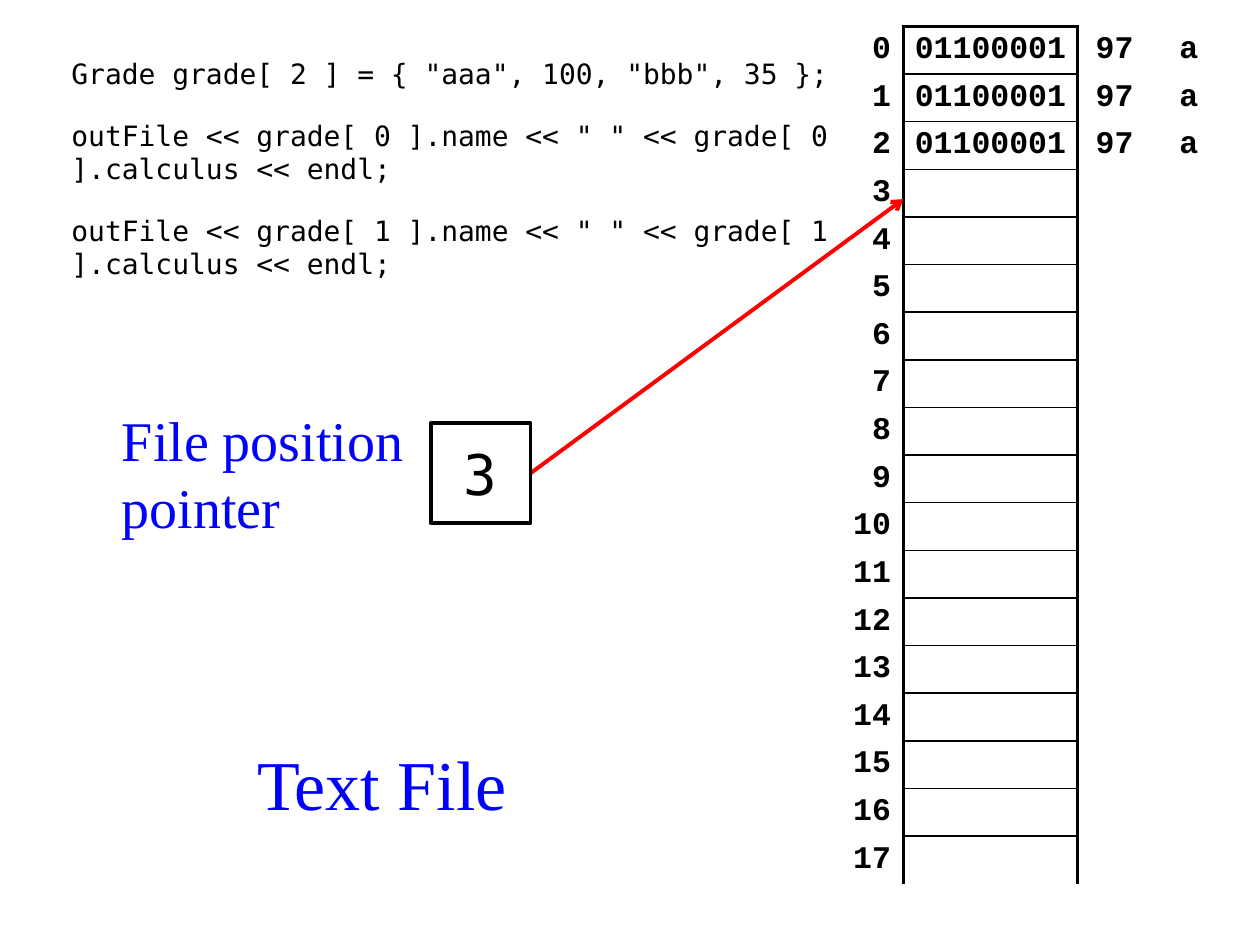
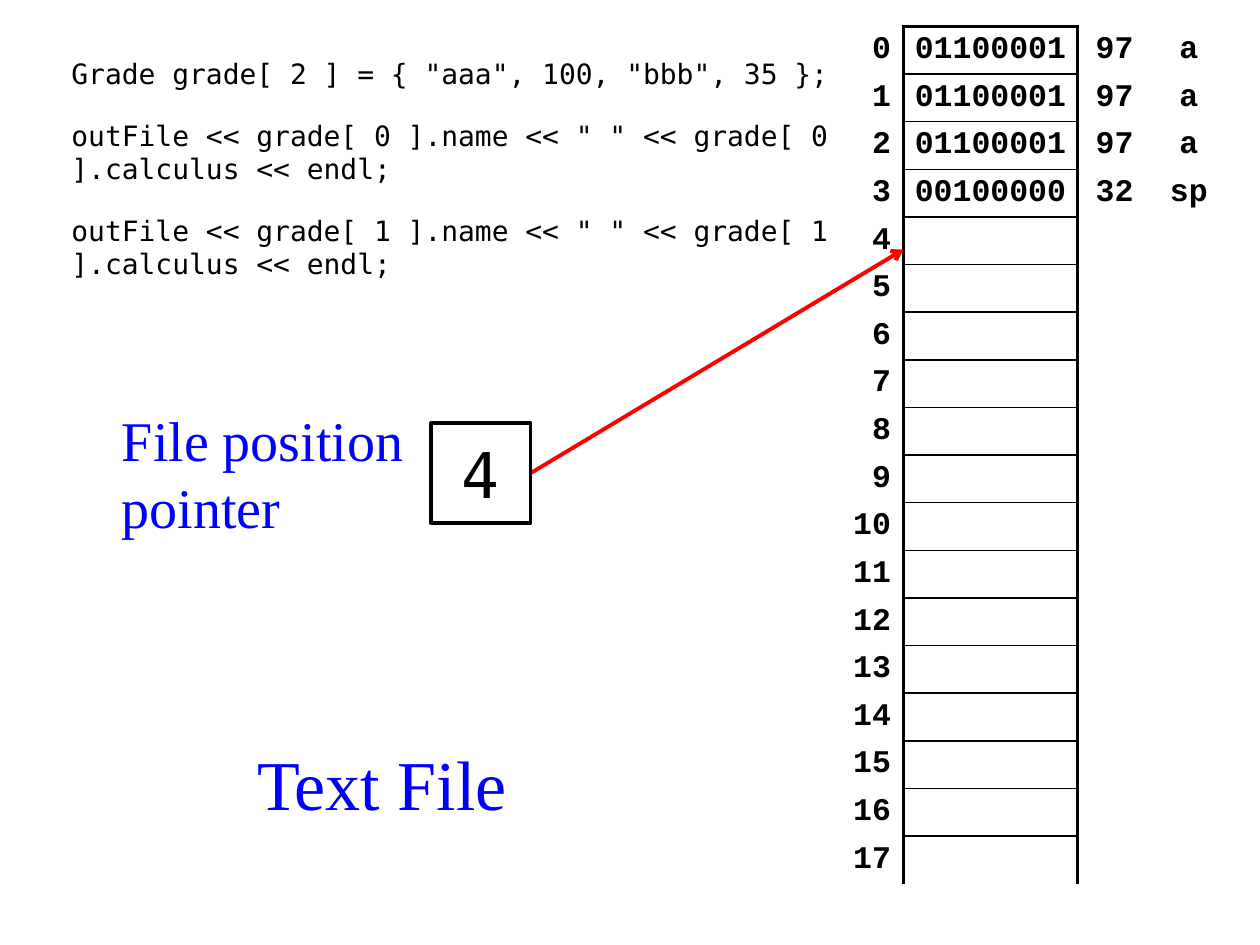
from pptx import Presentation
from pptx.dml.color import RGBColor
from pptx.enum.shapes import MSO_CONNECTOR, MSO_SHAPE
from pptx.enum.text import MSO_ANCHOR, PP_ALIGN
from pptx.oxml.ns import qn
from pptx.util import Pt
from lxml.etree import SubElement

BLACK, BLUE, RED = "000000", "0000FF", "FF0000"
SERIF, CODE_FONT, CELL_FONT = "Times New Roman", "DejaVu Sans Mono", "Courier New"
NO_STYLE = "{2D5ABB26-0587-4C30-8999-92F81FD0307C}"
THICK, THIN = 2.25, 1

TITLE = ["Text File"]
LABEL = ["File position", "pointer"]
CODE = ["Grade grade[ 2 ] = { \"aaa\", 100, \"bbb\", 35 };"] + [
    f"outFile << grade[ {i} ].name << \" \" << grade[ {i} ].calculus << endl;"
    for i in range(2)]
BYTES = [(97, "a"), (97, "a"), (97, "a"), (32, "sp")]
STEPS = [{"pointer": 3, "size": 32}, {"pointer": 4, "size": 36}]

ROWS, ROW_H = 18, 27.24
COLS = [42.5, 99.3, 42.5, 42.5]
TABLE_X, TABLE_Y = 473.8, 15.1
BOX_X, BOX_Y, BOX_SIZE = 246.2, 241.9, 57
TIP_Y, TIP_STEP = 27.36, 28.8


def color(value):
    return RGBColor.from_string(value)


def write(tf, lines, size, font, ink, align=PP_ALIGN.LEFT, bold=False, before=0):
    tf.text = "\n".join(lines)
    for p in tf.paragraphs:
        p.alignment = align
        p.space_before = Pt(before)
        for r in p.runs:
            r.font.size, r.font.name, r.font.bold = Pt(size), font, bold
            r.font.color.rgb = color(ink)


def add_text(s, box, lines, size, font, ink, anchor=MSO_ANCHOR.MIDDLE, wrap=True, **style):
    tf = s.shapes.add_textbox(*map(Pt, box)).text_frame
    tf.word_wrap = wrap
    tf.vertical_anchor = anchor
    write(tf, lines, size, font, ink, **style)


def set_borders(cell, widths):
    tc_pr = cell._tc.get_or_add_tcPr()
    for side in "LRTB":
        width = widths.get(side, 0)
        ln = SubElement(tc_pr, qn(f"a:ln{side}"), w=str(Pt(width)))
        if width:
            fill = SubElement(ln, qn("a:solidFill"))
            SubElement(fill, qn("a:srgbClr"), val=BLACK)
        else:
            SubElement(ln, qn("a:noFill"))


def borders_for(row, col):
    if col == 1:
        widths = {"L": THICK, "R": THICK, "T": THIN if row else THICK}
        if row < ROWS - 1:
            widths["B"] = THIN
        return widths
    return {0: {"R": THICK}, 2: {"L": THICK}}.get(col, {})


def add_memory(s, count):
    frame = s.shapes.add_table(ROWS, len(COLS), Pt(TABLE_X), Pt(TABLE_Y),
                               Pt(sum(COLS)), Pt(ROWS * ROW_H))
    table = frame.table
    table.first_row = table.horz_banding = False
    table._tbl.tblPr.find(qn("a:tableStyleId")).text = NO_STYLE
    for column, width in zip(table.columns, COLS):
        column.width = Pt(width)
    for i, row in enumerate(table.rows):
        row.height = Pt(ROW_H)
        values = [str(i), "", "", ""]
        if i < count:
            code, char = BYTES[i]
            values[1:] = [f"{code:08b}", str(code), char]
        for j, (cell, value) in enumerate(zip(row.cells, values)):
            set_borders(cell, borders_for(i, j))
            cell.fill.background()
            cell.vertical_anchor = MSO_ANCHOR.MIDDLE
            cell.margin_left = cell.margin_right = Pt(5.8 if j == 1 else 7.2)
            cell.margin_top = cell.margin_bottom = Pt(2)
            if value:
                write(cell.text_frame, [value], 18, CELL_FONT, BLACK,
                      PP_ALIGN.RIGHT if j == 0 else PP_ALIGN.CENTER, bold=True)


def add_arrow(s, pointer):
    c = s.shapes.add_connector(MSO_CONNECTOR.STRAIGHT, Pt(BOX_X + BOX_SIZE),
                               Pt(BOX_Y + BOX_SIZE / 2), Pt(TABLE_X + COLS[0]),
                               Pt(TIP_Y + TIP_STEP * pointer))
    c.line.color.rgb = color(RED)
    c.line.width = Pt(THICK)
    SubElement(c.line._get_or_add_ln(), qn("a:tailEnd"), type="arrow")
    SubElement(c._element.spPr, qn("a:effectLst"))


def add_pointer_box(s, pointer, size):
    sp = s.shapes.add_shape(MSO_SHAPE.RECTANGLE, Pt(BOX_X), Pt(BOX_Y),
                            Pt(BOX_SIZE), Pt(BOX_SIZE))
    sp.shadow.inherit = False
    sp.fill.background()
    sp.line.color.rgb = color(BLACK)
    sp.line.width = Pt(THICK)
    sp.text_frame.word_wrap = False
    sp.text_frame.vertical_anchor = MSO_ANCHOR.MIDDLE
    write(sp.text_frame, [str(pointer)], size, CODE_FONT, BLACK, PP_ALIGN.CENTER)


prs = Presentation()
prs.slide_width, prs.slide_height = Pt(720), Pt(540)
for step in STEPS:
    s = prs.slides.add_slide(prs.slide_layouts[6])
    add_memory(s, step["pointer"])
    add_text(s, (133.2, 411.8, 170, 70.6), TITLE, 40, SERIF, BLUE, align=PP_ALIGN.CENTER)
    add_arrow(s, step["pointer"])
    add_text(s, (33.8, 28.8, 453.6, 141.8), CODE, 16, CODE_FONT, BLACK,
             anchor=MSO_ANCHOR.TOP, before=16)
    add_pointer_box(s, step["pointer"], step["size"])
    add_text(s, (62.6, 227.5, 184.3, 85), LABEL, 32, SERIF, BLUE, wrap=False)
prs.save("out.pptx")
